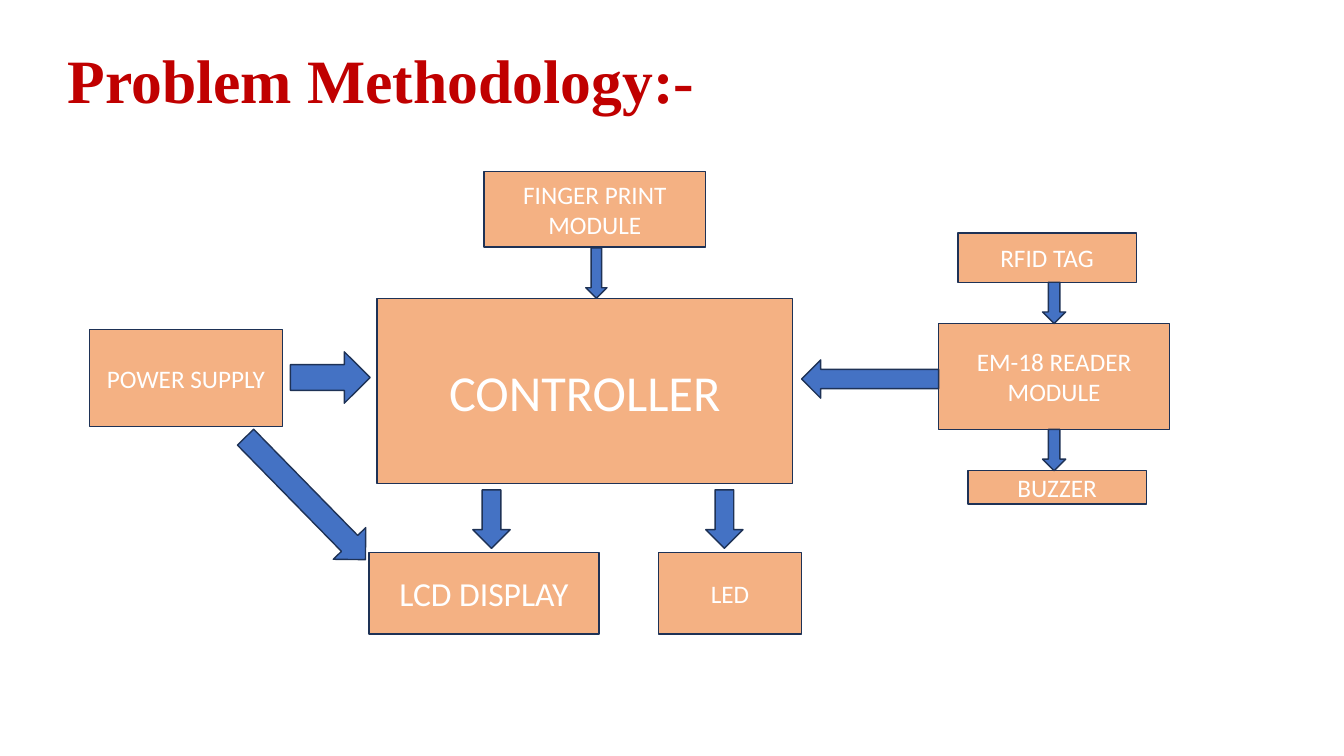
from pptx import Presentation
from pptx.dml.color import RGBColor
from pptx.enum.shapes import MSO_SHAPE as SHAPE
from pptx.enum.text import MSO_ANCHOR as ANCHOR, PP_ALIGN as ALIGN
from pptx.util import Inches, Pt

TITLE = "Problem Methodology:-"
TITLE_BOX = (0.57, 0.37, 6.67, 0.84)
TITLE_FONT = {"name": "Times New Roman", "size": Pt(44), "bold": True}
BOX_FONT = {"name": "Calibri", "bold": False}
RED, WHITE, ORANGE, BLUE, NAVY = "C00000", "FFFFFF", "F4B183", "4472C4", "1E3256"

# Blocks: text, font size, (left, top, width, height)
BLOCKS = [
    ("POWER SUPPLY", 18, (0.89, 3.27, 1.91, 0.96)),
    ("CONTROLLER", 36, (3.74, 2.96, 4.12, 1.84)),
    ("EM-18 READER MODULE", 18, (9.31, 3.21, 2.29, 1.05)),
    ("LCD DISPLAY", 24, (3.66, 5.48, 2.28, 0.81)),
    ("BUZZER", 18, (9.6, 4.67, 1.77, 0.33)),
    ("FINGER PRINT MODULE", 18, (4.8, 1.7, 2.2, 0.75)),
    ("RFID TAG", 18, (9.5, 2.31, 1.77, 0.49)),
    ("LED", 18, (6.53, 5.48, 1.42, 0.81)),
]

# Arrows: shape, (left, top, width, height), rotation
READER_ARROW = (0.23, 0.41)
OUTPUT_ARROW = (0.37, 0.58)
ARROWS = [
    (SHAPE.RIGHT_ARROW, (2.88, 3.49, 0.79, 0.51), 0),
    (SHAPE.RIGHT_ARROW, (2.18, 4.72, 1.7, 0.45), 45.6),
    (SHAPE.LEFT_ARROW, (7.95, 3.57, 1.36, 0.38), 0),
    (SHAPE.DOWN_ARROW, (5.81, 2.46, 0.21, 0.5), 0),
    *[(SHAPE.DOWN_ARROW, (10.34, top, *READER_ARROW), 0) for top in (2.8, 4.26)],
    *[(SHAPE.DOWN_ARROW, (left, 4.86, *OUTPUT_ARROW), 0) for left in (4.69, 7)],
]


def rgb(color):
    return RGBColor.from_string(color)


def write(tf, text, color, align, anchor, font):
    tf.word_wrap = True
    tf.vertical_anchor = anchor
    p = tf.paragraphs[0]
    p.alignment = align
    r = p.add_run()
    r.text = text
    for key, value in font.items():
        setattr(r.font, key, value)
    r.font.color.rgb = rgb(color)


def add_part(slide, kind, box, fill):
    sp = slide.shapes.add_shape(kind, *map(Inches, box))
    sp.shadow.inherit = False
    sp.fill.solid()
    sp.fill.fore_color.rgb = rgb(fill)
    sp.line.color.rgb = rgb(NAVY)
    sp.line.width = Pt(1)
    return sp


def main():
    prs = Presentation()
    prs.slide_width, prs.slide_height = Inches(13.33), Inches(7.5)
    slide = prs.slides.add_slide(prs.slide_layouts[5])

    # Title
    title = slide.shapes.title
    title.left, title.top, title.width, title.height = map(Inches, TITLE_BOX)
    write(title.text_frame, TITLE, RED, ALIGN.LEFT, ANCHOR.TOP, TITLE_FONT)

    # Blocks
    for text, size, box in BLOCKS:
        sp = add_part(slide, SHAPE.RECTANGLE, box, ORANGE)
        font = {**BOX_FONT, "size": Pt(size)}
        write(sp.text_frame, text, WHITE, ALIGN.CENTER, ANCHOR.MIDDLE, font)

    # Arrows
    for kind, box, rotation in ARROWS:
        add_part(slide, kind, box, BLUE).rotation = rotation

    prs.save("out.pptx")


if __name__ == "__main__":
    main()
